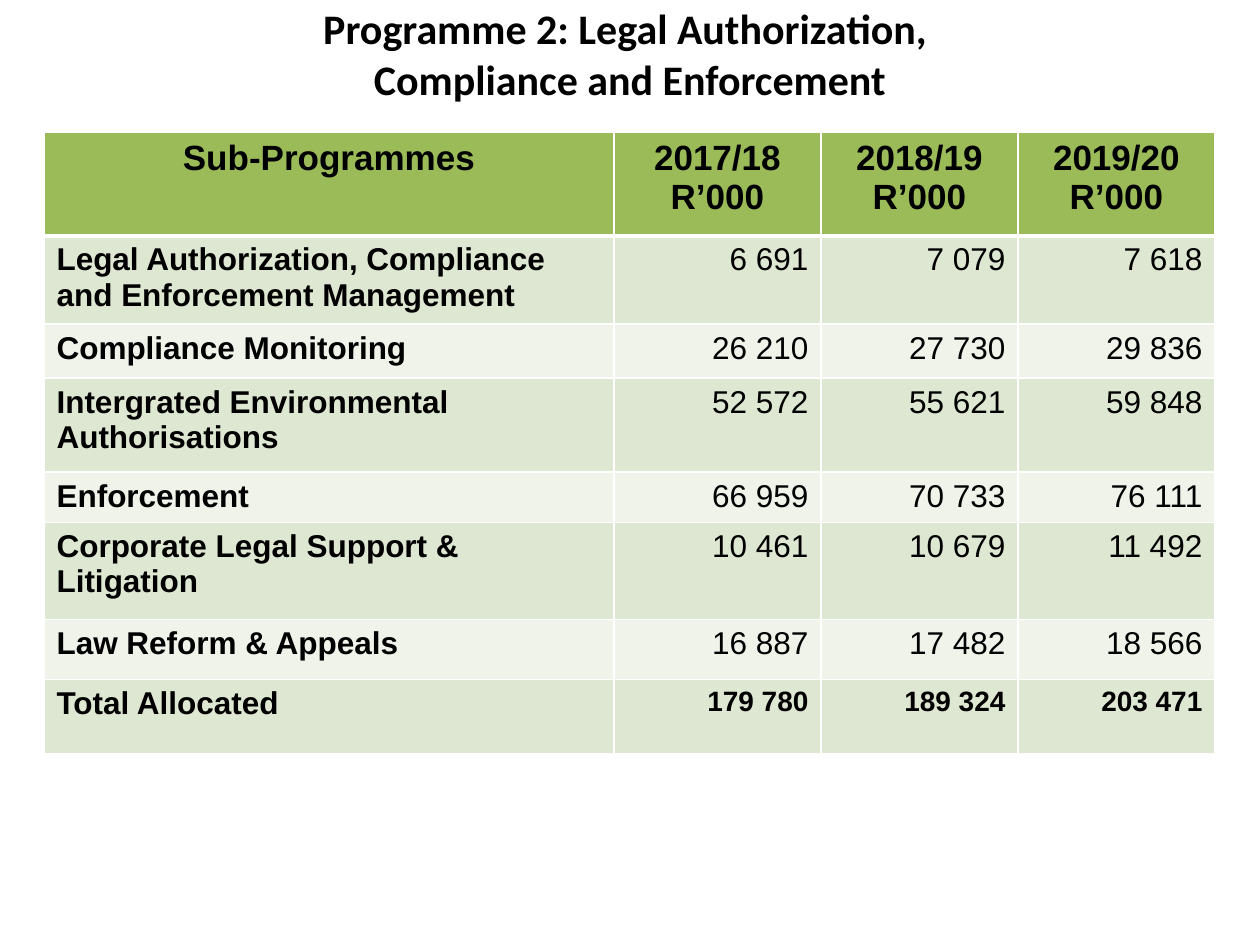
import pptx
import pptx.util
import pptx.dml.color
import pptx.enum.text
from lxml import etree

# Content
TITLE = "Programme 2: Legal Authorization, \vCompliance and Enforcement"
HEADER = ["Sub-Programmes", "2017/18\nR’000", "2018/19\nR’000", "2019/20\nR’000"]
BUDGET = [
    ["Legal Authorization, Compliance and Enforcement Management", "6 691", "7 079", "7 618"],
    ["Compliance Monitoring", "26 210", "27 730", "29 836"],
    ["Intergrated Environmental Authorisations", "52 572", "55 621", "59 848"],
    ["Enforcement", "66 959", "70 733", "76 111"],
    ["Corporate Legal Support & Litigation", "10 461", "10 679", "11 492"],
    ["Law Reform & Appeals", "16 887", "17 482", "18 566"],
    ["Total Allocated", "179 780", "189 324", "203 471"],
]

# Layout in px
SLIDE = (1260, 945)
TITLE_BOX = (63, 0, 1134, 106)
TABLE_AT = (44, 132)
COLS = [570, 207, 197, 197]
ROWS = [104, 83, 54, 94, 50, 97, 60, 74]

THEME = {
    "text": "000000", "header": "9BBB59", "bands": ["DEE7D1", "EFF3EA"], "border": "FFFFFF",
    "title_font": "Calibri", "table_font": "Arial",
    "title_size": 24, "header_size": 20, "body_size": 18, "total_size": 16,
}
ALIGN = pptx.enum.text.PP_ALIGN


def px(n):
    return pptx.util.Emu(round(n * 914400 / 126))


def rgb(color):
    return pptx.dml.color.RGBColor.from_string(color)


def style_text(tf, font, size, bold, align):
    for p in tf.paragraphs:
        p.alignment = align
        p.font.name = font
        p.font.size = pptx.util.Pt(size)
        p.font.bold = bold
        p.font.color.rgb = rgb(THEME["text"])


def set_borders(cell, widths):
    """Widths in points, in the order left, right, top, bottom."""
    ns = "http://schemas.openxmlformats.org/drawingml/2006/main"
    tcPr = cell._tc.get_or_add_tcPr()
    for i, (side, width) in enumerate(zip("LRTB", widths)):
        ln = etree.Element(f"{{{ns}}}ln{side}", w=str(pptx.util.Pt(width)))
        fill = etree.SubElement(ln, f"{{{ns}}}solidFill")
        etree.SubElement(fill, f"{{{ns}}}srgbClr", val=THEME["border"])
        tcPr.insert(i, ln)


def add_title(s):
    sp = s.shapes.add_textbox(*map(px, TITLE_BOX))
    tf = sp.text_frame
    tf.word_wrap = True
    tf.vertical_anchor = pptx.enum.text.MSO_ANCHOR.MIDDLE
    tf.text = TITLE
    style_text(tf, THEME["title_font"], THEME["title_size"], True, ALIGN.CENTER)


def add_budget_table(s):
    data = [HEADER] + BUDGET
    table = s.shapes.add_table(len(data), len(COLS), *map(px, TABLE_AT),
                               px(sum(COLS)), px(sum(ROWS))).table
    for column, width in zip(table.columns, COLS):
        column.width = px(width)
    for row, height in zip(table.rows, ROWS):
        row.height = px(height)

    for r, values in enumerate(data):
        is_header, is_total = r == 0, r == len(data) - 1
        for c, value in enumerate(values):
            is_label = c == 0
            cell = table.cell(r, c)
            cell.text = value
            cell.fill.solid()
            cell.fill.fore_color.rgb = rgb(THEME["header"] if is_header else THEME["bands"][(r - 1) % 2])
            set_borders(cell, (1, 1, 3 if r == 1 else 1, 3 if is_header else 1))
            if is_header:
                size, align = THEME["header_size"], ALIGN.CENTER
            elif is_label:
                size, align = THEME["body_size"], ALIGN.LEFT
            else:
                size, align = THEME["total_size" if is_total else "body_size"], ALIGN.RIGHT
            style_text(cell.text_frame, THEME["table_font"], size,
                       is_header or is_label or is_total, align)


def main():
    prs = pptx.Presentation()
    prs.slide_width, prs.slide_height = map(px, SLIDE)
    s = prs.slides.add_slide(prs.slide_layouts[6])
    add_title(s)
    add_budget_table(s)
    prs.save("out.pptx")


if __name__ == "__main__":
    main()
